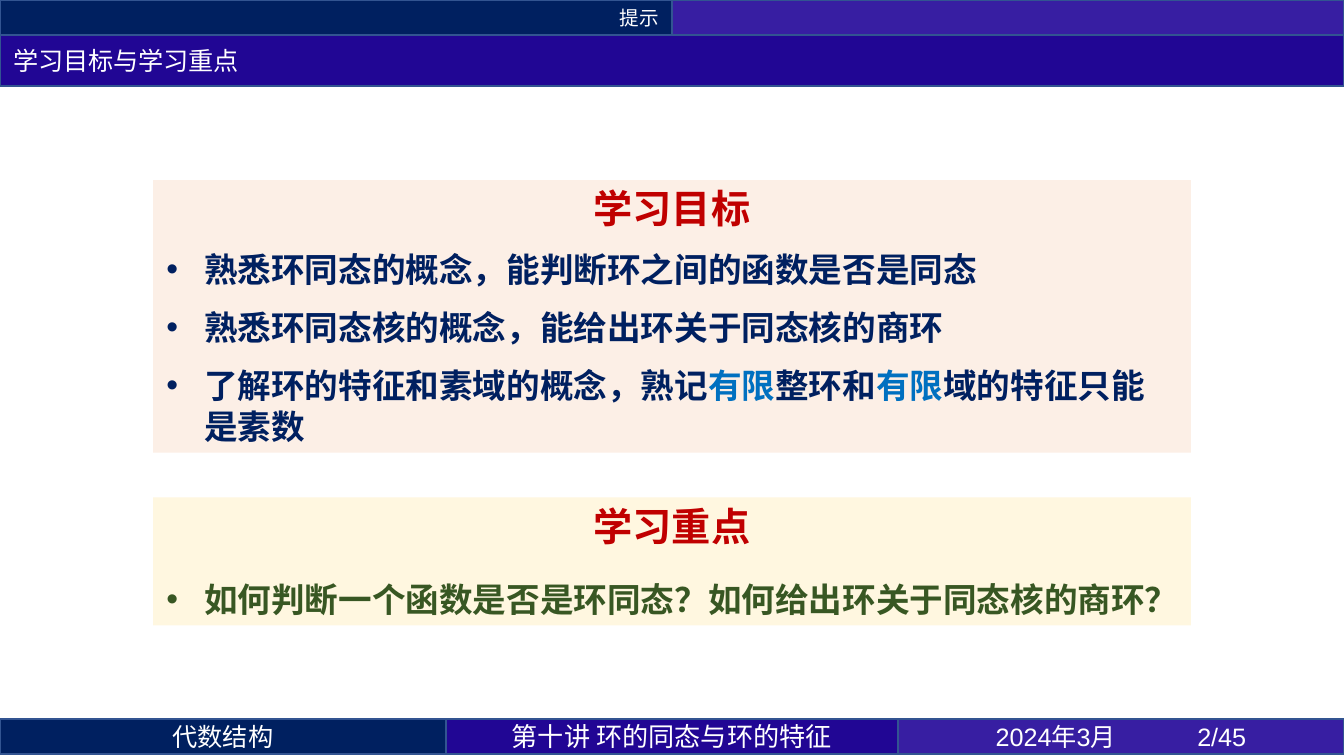
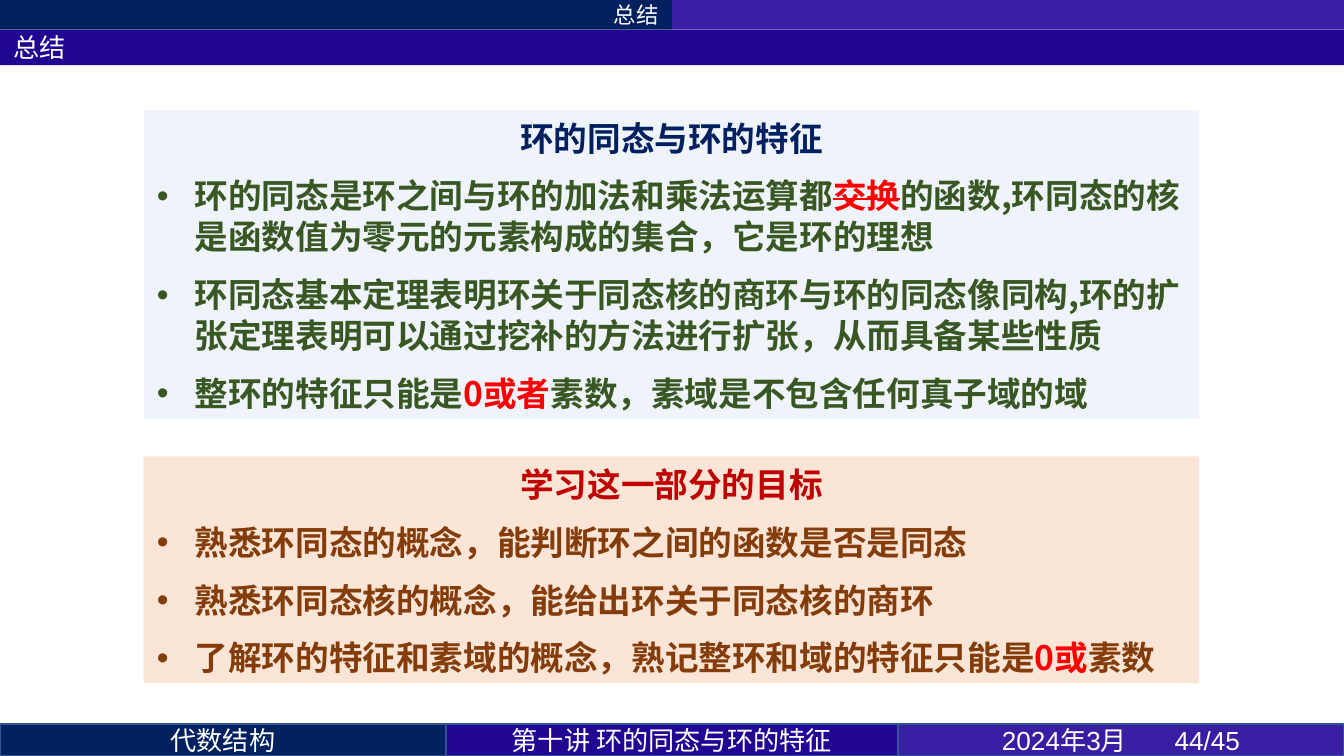
import pptx
import pptx.dml.color
import pptx.enum.shapes
import pptx.enum.text
import pptx.oxml.ns
import pptx.util
from lxml import etree

Pt = pptx.util.Pt
RGB = pptx.dml.color.RGBColor
ALIGN = pptx.enum.text.PP_ALIGN
ANCHOR = pptx.enum.text.MSO_ANCHOR
qn = pptx.oxml.ns.qn

WHITE = RGB(0xFF, 0xFF, 0xFF)
NAVY = RGB(0x00, 0x20, 0x60)
INDIGO = RGB(0x21, 0x06, 0x94)
VIOLET = RGB(0x37, 0x1E, 0xA2)
BORDER = RGB(0x32, 0x54, 0x91)
DARK_RED = RGB(0xC0, 0x00, 0x00)
RED = RGB(0xFF, 0x00, 0x00)
BLUE = RGB(0x00, 0x70, 0xC0)
GREEN = RGB(0x38, 0x57, 0x23)
BROWN = RGB(0x84, 0x3C, 0x0B)
PEACH = RGB(0xFB, 0xE5, 0xD6)
CREAM = RGB(0xFF, 0xF2, 0xCC)
PALE_BLUE = RGB(0xDE, 0xEB, 0xF7)

CJK = "Noto Sans CJK SC"
WIDTH, HEIGHT = 720, 405
FOOTER_EDGES = (0, 239, 481, WIDTH)
INDENT = 20.25
GAP = 4.5


class Lecture:
    def __init__(self):
        self.deck = pptx.Presentation()
        self.deck.slide_width = Pt(WIDTH)
        self.deck.slide_height = Pt(HEIGHT)
        self.page = None

    def add_page(self):
        self.page = self.deck.slides.add_slide(self.deck.slide_layouts[5])

    def rectangle(self, left, top, width, height, fill, opacity=100):
        box = self.page.shapes.add_shape(
            pptx.enum.shapes.MSO_SHAPE.RECTANGLE,
            Pt(left), Pt(top), Pt(width), Pt(height))
        box.shadow.inherit = False
        box.fill.solid()
        box.fill.fore_color.rgb = fill
        box.line.fill.background()
        if opacity < 100:
            colour = box.fill._xPr.find(".//" + qn("a:srgbClr"))
            etree.SubElement(colour, qn("a:alpha"), val=str(opacity * 1000))
        return box

    def style(self, para, size, colour, font=CJK, bold=False, align=ALIGN.LEFT):
        para.alignment = align
        para.font.size = Pt(size)
        para.font.bold = bold
        para.font.color.rgb = colour
        para.font.name = font
        defaults = para._p.pPr.find(qn("a:defRPr"))
        etree.SubElement(defaults, qn("a:ea"), typeface=CJK)

    def label(self, box, text, size, font=CJK, align=ALIGN.CENTER, tab=None):
        """Write one white line, centred in the height of a bar."""
        frame = box.text_frame
        frame.auto_size = pptx.enum.text.MSO_AUTO_SIZE.NONE
        frame.word_wrap = True
        frame.vertical_anchor = ANCHOR.MIDDLE
        frame.margin_left = frame.margin_right = Pt(7.2)
        frame.margin_top = frame.margin_bottom = 0
        para = frame.paragraphs[0]
        para.text = text
        if tab:
            stops = etree.SubElement(para._p.get_or_add_pPr(), qn("a:tabLst"))
            etree.SubElement(stops, qn("a:tab"), pos=str(Pt(tab)), algn="l")
        self.style(para, size, WHITE, font, align=align)

    def outline(self, box):
        box.line.color.rgb = BORDER
        box.line.width = Pt(1)

    def header(self, section, section_size, title, title_size,
               bar_height, title_height, outlined):
        half = WIDTH / 2
        section_bar = self.rectangle(0, 0, half, bar_height, NAVY)
        self.label(section_bar, section, section_size, align=ALIGN.RIGHT)
        blank_bar = self.rectangle(half, 0, half, bar_height, VIOLET)

        title_bar = self.page.shapes.title
        title_bar.left, title_bar.top = Pt(0), Pt(bar_height)
        title_bar.width, title_bar.height = Pt(WIDTH), Pt(title_height)
        title_bar.fill.solid()
        title_bar.fill.fore_color.rgb = INDIGO
        self.label(title_bar, title, title_size, "Calibri", ALIGN.LEFT)
        if outlined:
            for bar in (section_bar, blank_bar, title_bar):
                self.outline(bar)

    def footer(self, top, height, number, side_size, tab):
        cells = (
            ("代数结构", NAVY, side_size, CJK, None),
            ("第十讲 环的同态与环的特征", INDIGO, 14, CJK, None),
            (f"2024年3月\t{number}/45", VIOLET, side_size, "Arial", tab),
        )
        edges = zip(FOOTER_EDGES, FOOTER_EDGES[1:])
        for (left, right), (text, fill, size, font, stop) in zip(edges, cells):
            bar = self.rectangle(left, top, right - left, height, fill)
            self.outline(bar)
            self.label(bar, text, size, font, tab=stop)

    def bullet(self, para):
        props = para._p.get_or_add_pPr()
        props.set("marL", str(Pt(INDENT)))
        props.set("indent", str(-Pt(INDENT)))
        etree.SubElement(props, qn("a:buFont"), typeface="Arial")
        etree.SubElement(props, qn("a:buChar"), char="•")

    def spans(self, para, parts):
        """Add plain strings and (text, colour, struck) tuples as runs."""
        for part in parts:
            span = para.add_run()
            if isinstance(part, str):
                span.text = part
                continue
            span.text, span.font.color.rgb, struck = part
            if struck:
                span._r.get_or_add_rPr().set("strike", "sngStrike")

    def panel(self, area, fill, opacity, heading, points, colour, *,
              heading_colour=DARK_RED, heading_size=18, heading_font="Calibri",
              font=CJK, heading_line=22, line=22, before=GAP):
        frame = self.rectangle(*area, fill, opacity).text_frame
        frame.word_wrap = True
        frame.vertical_anchor = ANCHOR.TOP
        para = frame.paragraphs[0]
        para.text = heading
        para.line_spacing = Pt(heading_line)
        para.space_after = Pt(GAP)
        self.style(para, heading_size, heading_colour, heading_font, True,
                   ALIGN.CENTER)
        for parts in points:
            para = frame.add_paragraph()
            self.bullet(para)
            para.line_spacing = Pt(line)
            para.space_before, para.space_after = Pt(before), Pt(GAP)
            self.spans(para, parts)
            self.style(para, 18, colour, font, True)


SHARED_GOALS = [
    ["熟悉环同态的概念，能判断环之间的函数是否是同态"],
    ["熟悉环同态核的概念，能给出环关于同态核的商环"],
]


def goals_page(lecture):
    lecture.add_page()
    lecture.header("提示", 10.5, "学习目标与学习重点", 13.5, 19, 27, True)
    lecture.footer(385, 19, 2, 13.5, 108)
    heading = dict(heading_size=21, heading_font=CJK, heading_line=24,
                   font="Arial")
    finite = ("有限", BLUE, False)
    lecture.panel(
        (82, 96.5, 556, 146), PEACH, 60, "学习目标",
        SHARED_GOALS + [["了解环的特征和素域的概念，熟记", finite, "整环和",
                         finite, "域的特征只能是素数"]],
        NAVY, **heading)
    lecture.panel(
        (82, 266.5, 556, 68.5), CREAM, 60, "学习重点",
        [["如何判断一个函数是否是环同态？如何给出环关于同态核的商环？"]],
        GREEN, line=24, before=9, **heading)


def summary_page(lecture):
    lecture.add_page()
    lecture.header("总结", 12, "总结", 14, 16, 19, False)
    lecture.panel(
        (77, 59, 565.5, 165.5), PALE_BLUE, 50, "环的同态与环的特征",
        [
            ["环的同态是环之间与环的加法和乘法运算都", ("交换", RED, True),
             "的函数,环同态的核是函数值为零元的元素构成的集合，它是环的理想"],
            ["环同态基本定理表明环关于同态核的商环与环的同态像同构,"
             "环的扩张定理表明可以通过挖补的方法进行扩张，从而具备某些性质"],
            ["整环的特征只能是", ("0或者", RED, False),
             "素数，素域是不包含任何真子域的域"],
        ],
        GREEN, heading_colour=NAVY)
    lecture.panel(
        (77, 244.5, 565.5, 121.5), PEACH, 100, "学习这一部分的目标",
        SHARED_GOALS + [["了解环的特征和素域的概念，熟记整环和域的特征只能是",
                         ("0或", RED, False), "素数"]],
        BROWN)
    lecture.footer(388, 17, 44, 14, 92.5)


def main():
    lecture = Lecture()
    goals_page(lecture)
    summary_page(lecture)
    lecture.deck.save("out.pptx")


if __name__ == "__main__":
    main()
